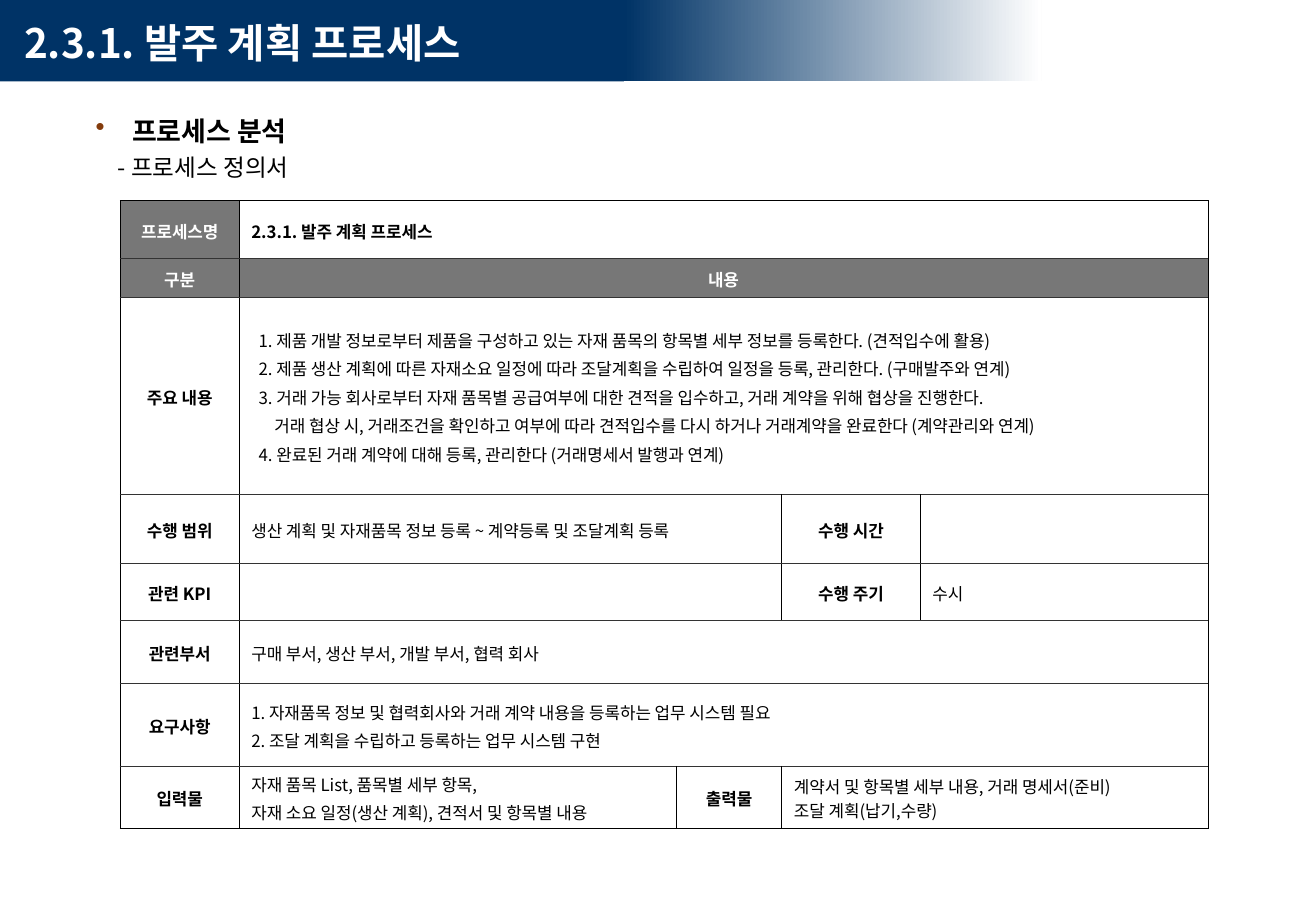
from lxml.etree import SubElement
from pptx import Presentation
from pptx.dml.color import RGBColor
from pptx.enum.shapes import MSO_SHAPE
from pptx.enum.text import MSO_ANCHOR, PP_ALIGN
from pptx.oxml.ns import qn
from pptx.util import Pt

PX = 9144  # EMU per px, 100 px to the inch
THEME = {
    "font": "Noto Sans CJK KR",
    "navy": "003366", "white": "FFFFFF", "black": "000000",
    "gray": "777777", "rule": "333333", "bullet": "843C0C",
    "title": 24, "heading": 16, "subheading": 14, "cell": 10,
}


def color(name):
    return RGBColor.from_string(THEME[name])


def write(p, text, size, ink="black", bold=False, indent=0):
    p.text = text
    if indent:
        p._p.get_or_add_pPr().set("marL", str(indent * PX))
    for r in p.runs:
        r.font.size = Pt(THEME[size])
        r.font.bold = bold
        r.font.color.rgb = color(ink)
        r.font.name = THEME["font"]
        SubElement(r._r.rPr, qn("a:ea"), typeface=THEME["font"])


prs = Presentation()
prs.slide_width, prs.slide_height = 1084 * PX, 750 * PX
s = prs.slides.add_slide(prs.slide_layouts[6])

# Header band: fading part, then solid part
for left, width, fades in [(514, 344, True), (0, 514, False)]:
    sp = s.shapes.add_shape(MSO_SHAPE.RECTANGLE, left * PX, 0, width * PX, 67 * PX)
    sp.shadow.inherit = False
    sp.line.fill.background()
    if fades:
        sp.fill.gradient()
        sp.fill.gradient_angle = 0
        for stop, name in zip(sp.fill.gradient_stops, ("navy", "white")):
            stop.color.rgb = color(name)
            stop.position = 0 if name == "navy" else 1
    else:
        sp.fill.solid()
        sp.fill.fore_color.rgb = color("navy")

# Section heading and subheading
tf = s.shapes.add_textbox(69 * PX, 84 * PX, 906 * PX, 70 * PX).text_frame
tf.word_wrap = True
p = tf.paragraphs[0]
pPr = p._p.get_or_add_pPr()
pPr.set("indent", str(-30 * PX))
SubElement(SubElement(pPr, qn("a:buClr")), qn("a:srgbClr"), val=THEME["bullet"])
SubElement(pPr, qn("a:buChar"), char="•")
write(p, "프로세스 분석", "heading", bold=True, indent=30)
write(tf.add_paragraph(), "- 프로세스 정의서", "subheading", indent=18)
for p in tf.paragraphs:
    p.alignment = PP_ALIGN.JUSTIFY
    p.line_spacing = 1.2

# Process definition: (first column, last column, style, lines) per cell
ROWS = [
    [(0, 0, "head", ["프로세스명"]), (1, 4, "name", ["2.3.1. 발주 계획 프로세스"])],
    [(0, 0, "head", ["구분"]), (1, 4, "head", ["내용"])],
    [(0, 0, "label", ["주요 내용"]), (1, 4, "steps", [
        "1. 제품 개발 정보로부터 제품을 구성하고 있는 자재 품목의 항목별 세부 정보를 등록한다. (견적입수에 활용)",
        "2. 제품 생산 계획에 따른 자재소요 일정에 따라 조달계획을 수립하여 일정을 등록, 관리한다. (구매발주와 연계)",
        "3. 거래 가능 회사로부터 자재 품목별 공급여부에 대한 견적을 입수하고, 거래 계약을 위해 협상을 진행한다.",
        "거래 협상 시, 거래조건을 확인하고 여부에 따라 견적입수를 다시 하거나 거래계약을 완료한다 (계약관리와 연계)",
        "4. 완료된 거래 계약에 대해 등록, 관리한다 (거래명세서 발행과 연계)"])],
    [(0, 0, "label", ["수행 범위"]),
     (1, 2, "body", ["생산 계획 및 자재품목 정보 등록 ~ 계약등록 및 조달계획 등록"]),
     (3, 3, "label", ["수행 시간"]), (4, 4, "body", [])],
    [(0, 0, "label", ["관련 KPI"]), (1, 2, "body", []),
     (3, 3, "label", ["수행 주기"]), (4, 4, "body", ["수시"])],
    [(0, 0, "label", ["관련부서"]),
     (1, 4, "body", ["구매 부서, 생산 부서, 개발 부서, 협력 회사"])],
    [(0, 0, "label", ["요구사항"]), (1, 4, "body", [
        "1. 자재품목 정보 및 협력회사와 거래 계약 내용을 등록하는 업무 시스템 필요",
        "2. 조달 계획을 수립하고 등록하는 업무 시스템 구현"])],
    [(0, 0, "label", ["입력물"]),
     (1, 1, "body", ["자재 품목 List, 품목별 세부 항목,",
                     "자재 소요 일정(생산 계획), 견적서 및 항목별 내용"]),
     (2, 2, "label", ["출력물"]),
     (3, 4, "tight", ["계약서 및 항목별 세부 내용, 거래 명세서(준비)",
                      "조달 계획(납기,수량)"])],
]
COL_WIDTHS = [98, 360, 87, 114, 237]
ROW_HEIGHTS = [48, 32, 162, 57, 47, 52, 68, 51]

table = s.shapes.add_table(len(ROW_HEIGHTS), len(COL_WIDTHS), 99 * PX, 165 * PX,
                           sum(COL_WIDTHS) * PX, sum(ROW_HEIGHTS) * PX).table
table.first_row = table.horz_banding = False
for col, width in zip(table.columns, COL_WIDTHS):
    col.width = width * PX
for row, height in zip(table.rows, ROW_HEIGHTS):
    row.height = height * PX

# Rules and fills on the whole grid
last = len(ROWS) - 1
for i, row in enumerate(table.rows):
    for cell in row.cells:
        edges = {"lnL": "black", "lnR": "black",
                 "lnT": "black" if i == 0 else "rule",
                 "lnB": "black" if i == last else "rule"}
        for edge, name in edges.items():
            ln = SubElement(cell._tc.get_or_add_tcPr(), qn("a:" + edge), w=str(Pt(0.45)))
            SubElement(SubElement(ln, qn("a:solidFill")), qn("a:srgbClr"), val=THEME[name])
        cell.fill.solid()
        cell.fill.fore_color.rgb = color("white")

# Cell contents
for i, cells in enumerate(ROWS):
    for first, end, style, lines in cells:
        cell = table.cell(i, first)
        if end > first:
            cell.merge(table.cell(i, end))
        cell.vertical_anchor = MSO_ANCHOR.MIDDLE
        cell.margin_left = cell.margin_right = 10 * PX
        cell.margin_top, cell.margin_bottom = 4 * PX, 2 * PX
        if style == "head":
            cell.fill.fore_color.rgb = color("gray")
        tf = cell.text_frame
        for n, line in enumerate(lines):
            p = tf.add_paragraph() if n else tf.paragraphs[0]
            if style in ("head", "label"):
                p.alignment = PP_ALIGN.CENTER
            if n and style != "tight":
                p.space_before = Pt(2.5)
            indent = 0
            if style == "steps":
                indent = 6 if line[0].isdigit() else 19
            write(p, line, "cell", "white" if style == "head" else "black",
                  style in ("head", "label", "name"), indent)

# Slide title
tf = s.shapes.add_textbox(3 * PX, 10 * PX, 1081 * PX, 50 * PX).text_frame
tf.word_wrap = True
write(tf.paragraphs[0], "2.3.1. 발주 계획 프로세스", "title", "white", True, 7)

prs.save("out.pptx")
